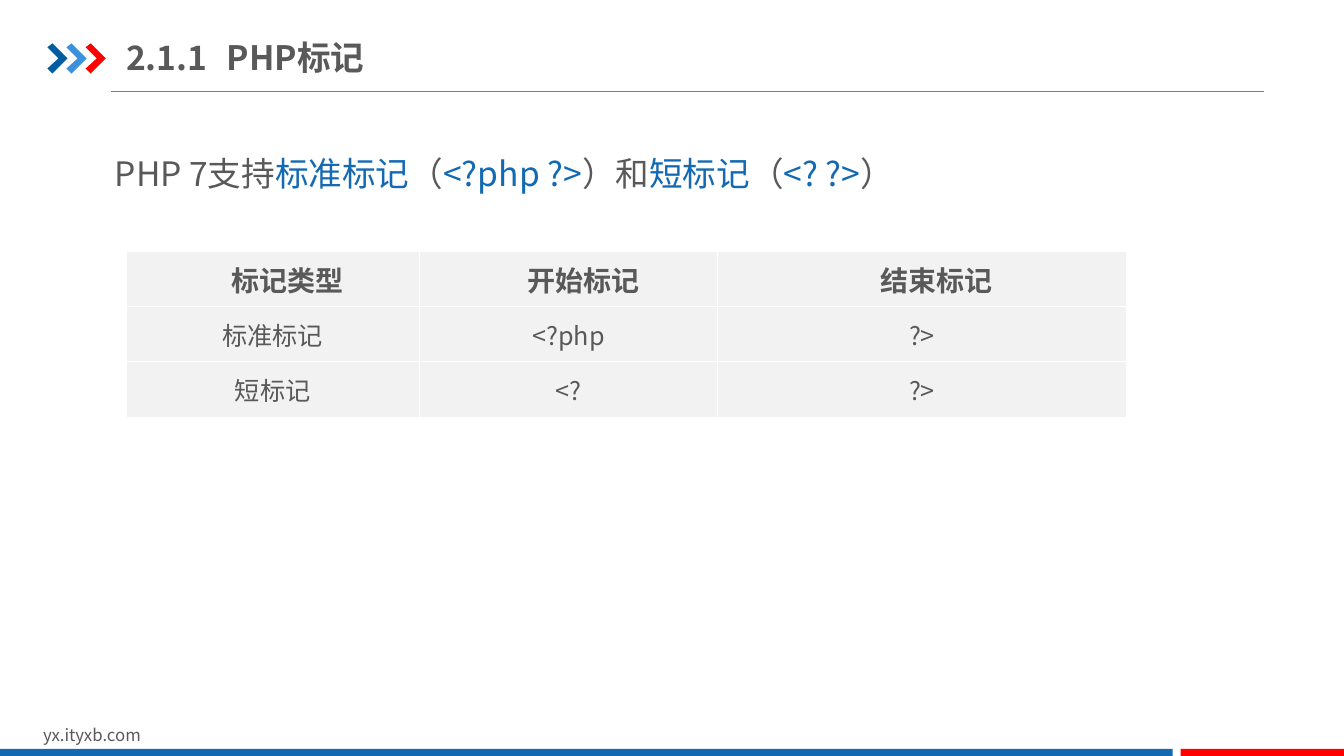
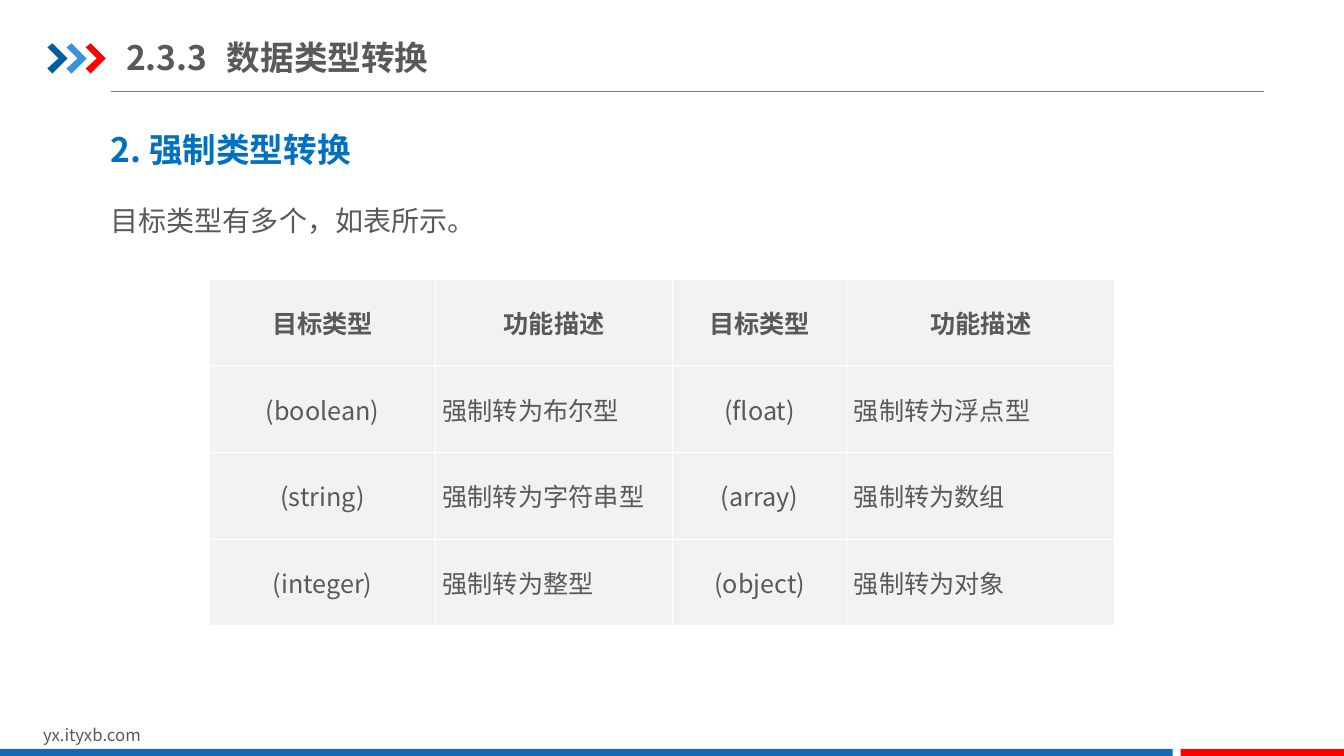
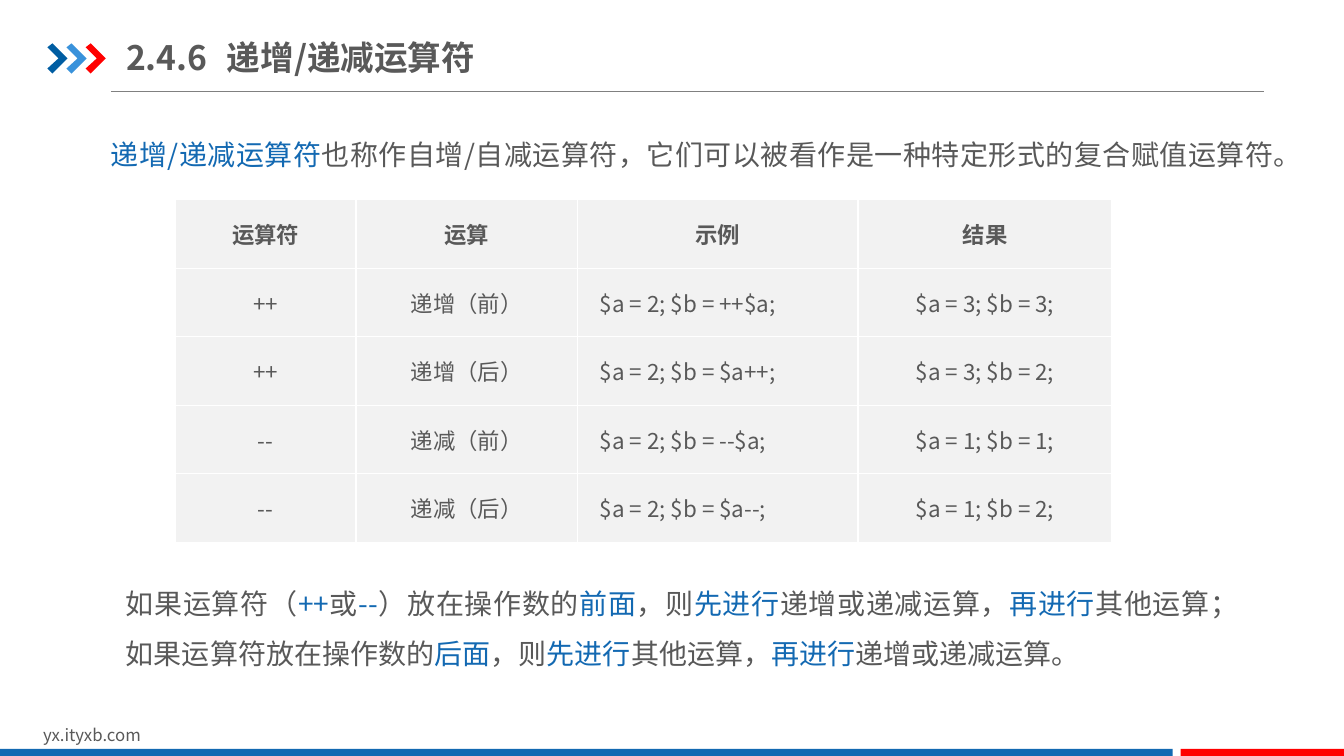
from lxml import etree
from pptx import Presentation
from pptx.dml.color import RGBColor
from pptx.enum import shapes, text
from pptx.oxml import ns
from pptx.util import Inches, Pt

FONT = "Noto Sans CJK SC"
COLORS = {
    "text": "595959",
    "accent": "1369B2",
    "heading": "0070C0",
    "navy": "005DA2",
    "sky": "3992DB",
    "red": "FF0000",
    "rule": "808080",
    "cell": "F2F2F2",
    "border": "FFFFFF",
}
ALIGN = {
    "l": text.PP_ALIGN.LEFT,
    "c": text.PP_ALIGN.CENTER,
    "j": text.PP_ALIGN.JUSTIFY,
}
CHEVRON = [(0, 4), (5, 0), (20, 15), (5, 30), (0, 25), (11, 15)]  # 1/100 inch
TITLE_TAB = 1


def rgb(name):
    return RGBColor.from_string(COLORS[name])


def sub(parent, tag, **attributes):
    values = {key: str(value) for key, value in attributes.items()}
    return etree.SubElement(parent, ns.qn(tag), values)


def write(paragraph, marked, size, color="text", bold=False, align="l", indent=0):
    """Write text in which every second part between bars is highlighted."""
    paragraph.alignment = ALIGN[align]
    if indent:
        paragraph._p.get_or_add_pPr().set("indent", str(Inches(indent)))
    for index, part in enumerate(marked.split("|")):
        if not part:
            continue
        run = paragraph.add_run()
        run.text = part
        for name, value in {"name": FONT, "size": Pt(size), "bold": bold}.items():
            setattr(run.font, name, value)
        run.font.color.rgb = rgb("accent" if index % 2 else color)
        sub(run._r.get_or_add_rPr(), "a:ea", typeface=FONT)


def add_text(slide, box, marked, size, spacing=None, **style):
    frame = slide.shapes.add_textbox(*map(Inches, box)).text_frame
    frame.word_wrap = True
    paragraph = frame.paragraphs[0]
    write(paragraph, marked, size, **style)
    if spacing:
        paragraph.line_spacing = spacing


def paint(shape, color):
    shape.shadow.inherit = False
    shape.fill.solid()
    shape.fill.fore_color.rgb = rgb(color)
    shape.line.fill.background()


def add_chevrons(slide, left, top, step):
    for index, color in enumerate(("navy", "sky", "red")):
        builder = slide.shapes.build_freeform(*CHEVRON[0], scale=Inches(0.01))
        builder.add_line_segments(CHEVRON[1:], close=True)
        paint(builder.convert_to_shape(Inches(left + index * step), Inches(top)), color)


def add_title(slide, number, topic):
    title = slide.shapes.title
    title.left, title.top, title.width, title.height = map(Inches, (1.25, 0.29, 4.26, 0.55))
    frame = title.text_frame
    settings = {
        "margin_left": 0,
        "margin_right": 0,
        "margin_top": Inches(0.07),
        "margin_bottom": Inches(0.07),
        "vertical_anchor": text.MSO_ANCHOR.MIDDLE,
        "auto_size": text.MSO_AUTO_SIZE.NONE,
        "word_wrap": True,
    }
    for name, value in settings.items():
        setattr(frame, name, value)
    paragraph = frame.paragraphs[0]
    tabs = sub(paragraph._p.get_or_add_pPr(), "a:tabLst")
    sub(tabs, "a:tab", pos=Inches(TITLE_TAB), algn="l")
    write(paragraph, f"{number}\t{topic}", 24, bold=True)


def add_footer(slide):
    add_text(slide, (0.33, 7.14, 3.18, 0.3), "yx.ityxb.com", 12)
    for left, width, color in ((0, 11.63, "accent"), (11.71, 1.62, "red")):
        band = slide.shapes.add_shape(
            shapes.MSO_SHAPE.RECTANGLE, *map(Inches, (left, 7.43, width, 0.07)))
        paint(band, color)


def add_slide(deck, number, topic):
    """Add a slide with the shared header and footer."""
    slide = deck.slides.add_slide(deck.slide_layouts[5])
    rule = slide.shapes.add_connector(
        shapes.MSO_CONNECTOR.STRAIGHT, *map(Inches, (1.1, 0.91, 12.54, 0.91)))
    rule.line.color.rgb = rgb("rule")
    rule.line.width = Pt(0.75)
    sub(rule._element.spPr, "a:effectLst")
    add_chevrons(slide, 0.47, 0.43, 0.19)
    add_title(slide, number, topic)
    add_footer(slide)
    return slide


def format_cell(cell):
    properties = cell._tc.get_or_add_tcPr()
    for side in "LRTB":
        edge = sub(properties, f"a:ln{side}", w=Pt(1))
        sub(sub(edge, "a:solidFill"), "a:srgbClr", val=COLORS["border"])
    cell.fill.solid()
    cell.fill.fore_color.rgb = rgb("cell")
    cell.vertical_anchor = text.MSO_ANCHOR.MIDDLE
    for side, margin in {"left": 0.07, "right": 0.07, "top": 0, "bottom": 0}.items():
        setattr(cell, f"margin_{side}", Inches(margin))


def add_grid(slide, left, top, widths, row_height, rows, aligns, size,
             head_size=None, head_indent=0, justified_indent=0):
    """Add a table with a bold centred head row and one alignment per column."""
    table = slide.shapes.add_table(
        len(rows), len(widths), Inches(left), Inches(top),
        Inches(sum(widths)), Inches(row_height * len(rows))).table
    table.horz_banding = False
    for column, width in zip(table.columns, widths):
        column.width = Inches(width)
    for row_index, row in enumerate(rows):
        for column_index, content in enumerate(row):
            cell = table.cell(row_index, column_index)
            format_cell(cell)
            align = aligns[column_index]
            if row_index == 0:
                style = dict(size=head_size or size, bold=True, align="c", indent=head_indent)
            else:
                style = dict(size=size, align=align,
                             indent=justified_indent if align == "j" else 0)
            write(cell.text_frame.paragraphs[0], content, **style)


def build_tags(deck):
    slide = add_slide(deck, "2.1.1", "PHP标记")
    add_text(slide, (0.75, 1.47, 9.53, 0.5),
             "PHP 7支持|标准标记|（|<?php ?>|）和|短标记|（|<? ?>|）",
             24, align="j", indent=0.29)
    rows = [
        ("标记类型", "开始标记", "结束标记"),
        ("标准标记", "<?php", "?>"),
        ("短标记", "<?", "?>"),
    ]
    add_grid(slide, 1.25, 2.49, (2.91, 2.96, 4.05), 0.55, rows, "ccc", 18,
             head_size=20, head_indent=0.29)


def build_casts(deck):
    slide = add_slide(deck, "2.3.3", "数据类型转换")
    add_text(slide, (1, 1.23, 4.38, 0.5), "2. 强制类型转换", 24, color="heading", bold=True)
    add_text(slide, (1, 1.97, 10.02, 0.44), "目标类型有多个，如表所示。", 20)
    rows = [
        ("目标类型", "功能描述") * 2,
        ("(boolean)", "强制转为布尔型", "(float)", "强制转为浮点型"),
        ("(string)", "强制转为字符串型", "(array)", "强制转为数组"),
        ("(integer)", "强制转为整型", "(object)", "强制转为对象"),
    ]
    add_grid(slide, 2.08, 2.77, (2.24, 2.35, 1.73, 2.66), 0.86, rows, "cjcj", 18,
             head_indent=-0.17)


def build_increments(deck):
    slide = add_slide(deck, "2.4.6", "递增/递减运算符")
    add_text(slide, (1, 1.15, 11.73, 0.61),
             "|递增/递减运算符|也称作自增/自减运算符，"
             "它们可以被看作是一种特定形式的复合赋值运算符。",
             20, spacing=1.5, align="j")
    rows = [
        ("运算符", "运算", "示例", "结果"),
        ("++", "递增（前）", "$a = 2; $b = ++$a;", "$a = 3; $b = 3;"),
        ("++", "递增（后）", "$a = 2; $b = $a++;", "$a = 3; $b = 2;"),
        ("--", "递减（前）", "$a = 2; $b = --$a;", "$a = 1; $b = 1;"),
        ("--", "递减（后）", "$a = 2; $b = $a--;", "$a = 1; $b = 2;"),
    ]
    add_grid(slide, 1.74, 1.98, (1.79, 2.2, 2.78, 2.52), 0.68, rows, "ccjc", 16,
             justified_indent=0.15)
    add_text(slide, (1.15, 5.6, 10.95, 1.11),
             "如果运算符（|++|或|--|）放在操作数的|前面|，则|先进行|递增或递减运算，"
             "|再进行|其他运算；如果运算符放在操作数的|后面|，则|先进行|其他运算，"
             "|再进行|递增或递减运算。",
             20, spacing=1.5, align="j")


def main():
    deck = Presentation()
    deck.slide_width, deck.slide_height = Inches(13.33), Inches(7.5)
    for build in (build_tags, build_casts, build_increments):
        build(deck)
    deck.save("out.pptx")


if __name__ == "__main__":
    main()
